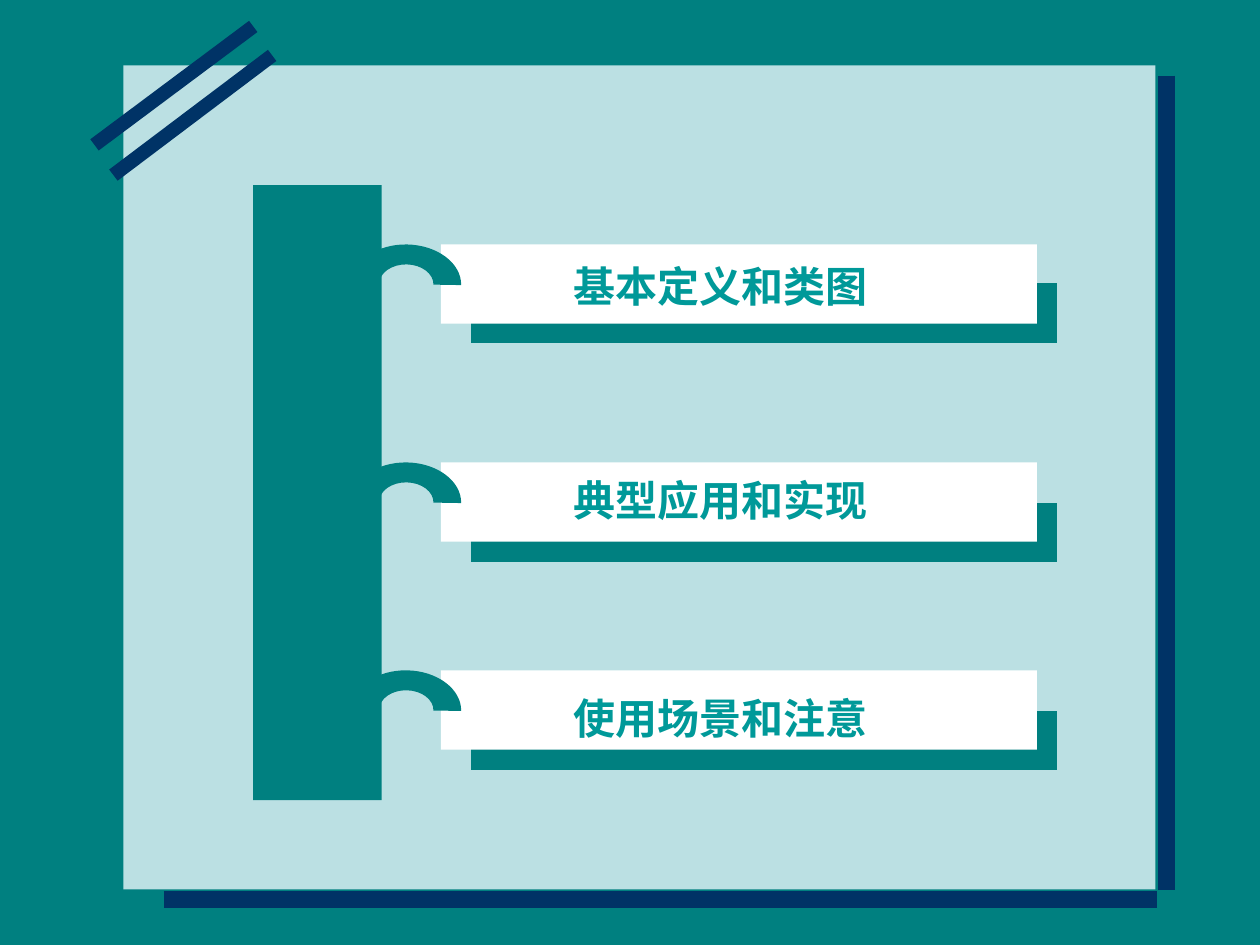
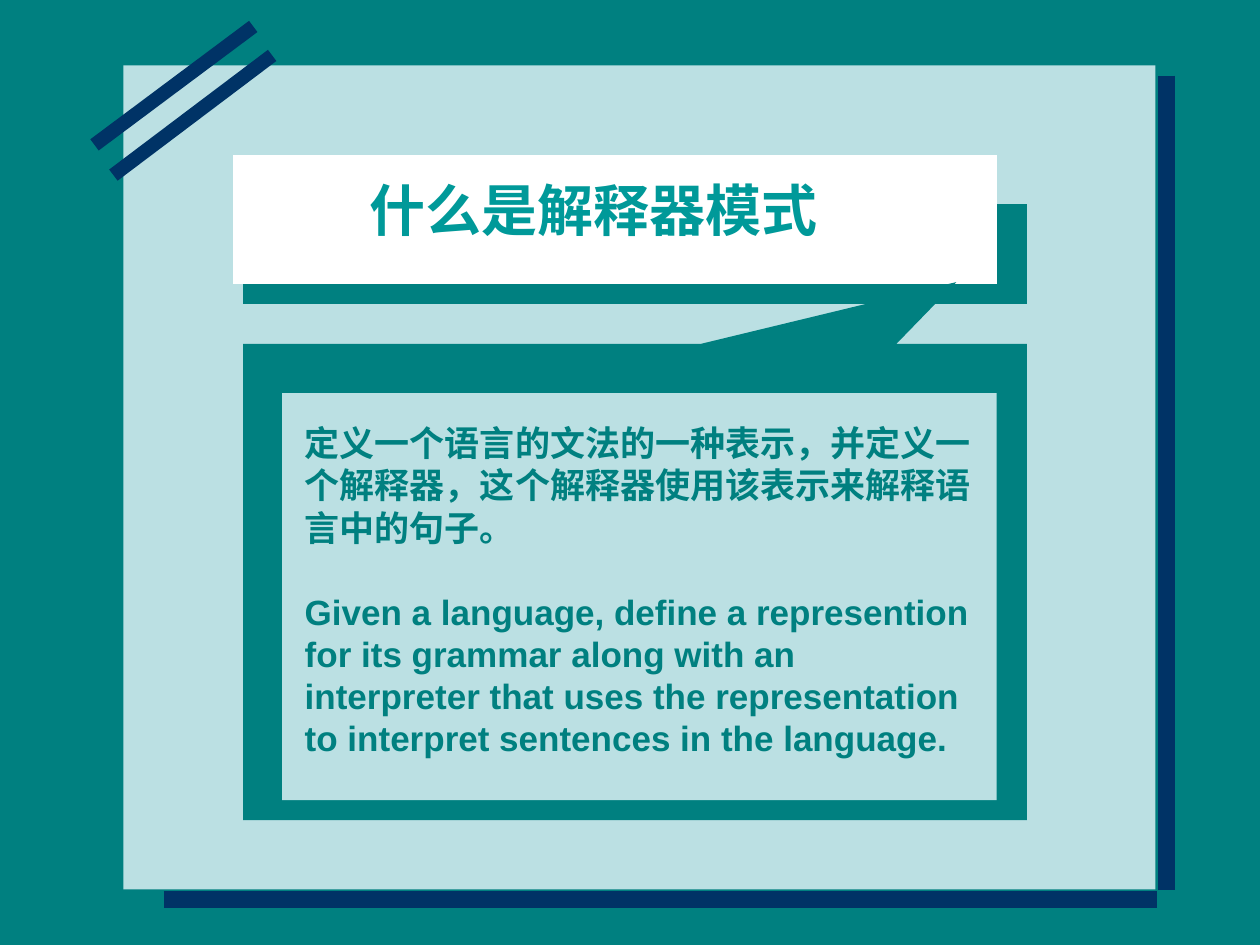
from dataclasses import dataclass

import lxml.etree
import pptx
import pptx.dml.color
import pptx.enum.lang
import pptx.enum.shapes
import pptx.enum.text
import pptx.oxml.ns
import pptx.util

Inches = pptx.util.Inches
Pt = pptx.util.Pt
qn = pptx.oxml.ns.qn
SHAPE = pptx.enum.shapes.MSO_SHAPE


@dataclass(frozen=True)
class Theme:
    teal: str = "008080"
    pale: str = "BBE0E3"
    navy: str = "003366"
    white: str = "FFFFFF"
    accent: str = "009999"
    font: str = "Arial"
    title: int = 32
    item: int = 24
    body: int = 20
    leading: float = 1.2


def rgb(value):
    return pptx.dml.color.RGBColor.from_string(value)


class Deck:
    def __init__(self, theme):
        self.theme = theme
        self.prs = pptx.Presentation()
        self.prs.slide_width = Inches(10)
        self.prs.slide_height = Inches(7.5)
        self.slide = None

    def new_slide(self, layout):
        """Start a slide with the shared background, panel and lines."""
        t = self.theme
        self.slide = self.prs.slides.add_slide(
            self.prs.slide_layouts.get_by_name(layout))
        fill = self.slide.background.fill
        fill.solid()
        fill.fore_color.rgb = rgb(t.teal)
        self.box(0.98, 0.52, 8.19, 6.54, t.pale)
        # Corner stripes
        self.line(2.16, 0.44, 0.9, 1.39, 8)
        self.line(2.01, 0.21, 0.75, 1.15, 8)
        # Panel shadow
        self.line(1.3, 7.14, 9.18, 7.14, 10)
        self.line(9.26, 0.6, 9.26, 7.06, 10)

    def paint(self, sp, color):
        sp.shadow.inherit = False
        sp.fill.solid()
        sp.fill.fore_color.rgb = rgb(color)
        sp.line.fill.background()
        return sp

    def box(self, x, y, w, h, color, kind=SHAPE.RECTANGLE):
        sp = self.slide.shapes.add_shape(
            kind, Inches(x), Inches(y), Inches(w), Inches(h))
        return self.paint(sp, color)

    def line(self, x1, y1, x2, y2, width):
        sp = self.slide.shapes.add_connector(
            pptx.enum.shapes.MSO_CONNECTOR.STRAIGHT,
            Inches(x1), Inches(y1), Inches(x2), Inches(y2))
        sp.line.width = Pt(width)
        sp.line.color.rgb = rgb(self.theme.navy)
        lxml.etree.SubElement(sp._element.spPr, qn("a:effectLst"))

    def ring(self, x, y, color):
        """Half an elliptical ring in a frame of 0.87 by 0.63 inches."""
        # The frame, in hundredths of an inch
        fb = self.slide.shapes.build_freeform(0, 0, scale=Inches(0.01))
        fb.add_line_segments([(87, 0), (87, 63), (0, 63)])
        sp = self.paint(fb.convert_to_shape(Inches(x), Inches(y)), color)
        # The curved outline, in thousandths of an inch
        outline = sp._element.find(".//" + qn("a:path"))
        outline.set("w", "870")
        outline.set("h", "630")
        for node in list(outline):
            outline.remove(node)
        for tag, points in [
                ("moveTo", [(220, 315)]),
                ("cubicBezTo", [(220, 402), (316, 472), (435, 472)]),
                ("cubicBezTo", [(554, 472), (650, 402), (650, 315)]),
                ("lnTo", [(870, 315)]),
                ("cubicBezTo", [(870, 489), (675, 630), (435, 630)]),
                ("cubicBezTo", [(195, 630), (0, 489), (0, 315)]),
                ("lnTo", [(220, 315)]),
                ("close", [])]:
            step = lxml.etree.SubElement(outline, qn("a:" + tag))
            for px, py in points:
                lxml.etree.SubElement(step, qn("a:pt"), x=str(px), y=str(py))
        sp.rotation = 181

    def fill_text(self, tf, paragraphs, size, color):
        tf.word_wrap = True
        tf.auto_size = pptx.enum.text.MSO_AUTO_SIZE.NONE
        tf.vertical_anchor = pptx.enum.text.MSO_ANCHOR.TOP
        leading = Pt(size * self.theme.leading)
        for i, text in enumerate(paragraphs):
            p = tf.add_paragraph() if i else tf.paragraphs[0]
            p.alignment = pptx.enum.text.PP_ALIGN.LEFT
            p.line_spacing = leading
            p.space_before = leading if i else Pt(0)
            r = p.add_run()
            r.text = text
            r.font.name = self.theme.font
            r.font.size = Pt(size)
            r.font.bold = True
            r.font.color.rgb = rgb(color)
            r.font.language_id = pptx.enum.lang.MSO_LANGUAGE_ID.SIMPLIFIED_CHINESE

    def text(self, x, y, w, h, paragraphs, size, color):
        sp = self.slide.shapes.add_textbox(
            Inches(x), Inches(y), Inches(w), Inches(h))
        self.fill_text(sp.text_frame, paragraphs, size, color)

    def title(self, x, y, w, h, text):
        sp = self.slide.shapes.title
        sp.left, sp.top = Inches(x), Inches(y)
        sp.width, sp.height = Inches(w), Inches(h)
        self.fill_text(sp.text_frame, [text], self.theme.title, self.theme.accent)
        # Bring the title in front of its band
        self.slide.shapes._spTree.append(sp._element)


def agenda_slide(deck):
    t = deck.theme
    deck.new_slide("Blank")
    # Label top, shadow top, text top, text width, wording
    items = [(1.94, 2.25, 2.02, 3.41, "基本定义和类图"),
             (5.32, 5.64, 5.45, 4.65, "使用场景和注意"),
             (3.67, 3.99, 3.72, 3.41, "典型应用和实现")]
    for _, shadow_top, *_ in items:
        deck.box(3.74, shadow_top, 4.65, 0.47, t.teal, SHAPE.FLOWCHART_PROCESS)
    # Binder spine
    deck.box(2.01, 1.47, 1.02, 4.88, t.teal)
    for top, *_ in items:
        deck.box(3.5, top, 4.73, 0.63, t.white)
    for top, *_ in items:
        deck.ring(2.79, top, t.teal)
    for _, _, text_top, width, label in items:
        deck.text(4.45, text_top, width, 0.5, [label], t.item, t.accent)


def definition_slide(deck):
    t = deck.theme
    deck.new_slide("Title Only")
    # Title band
    deck.box(1.93, 1.62, 6.22, 0.79, t.teal, SHAPE.FLOWCHART_PROCESS)
    deck.box(1.85, 1.23, 6.06, 1.02, t.white, SHAPE.FLOWCHART_PROCESS)
    deck.title(2.83, 1.34, 4.37, 0.64, "什么是解释器模式")
    # Callout pointing up to the title
    callout = deck.box(1.93, 2.73, 6.22, 3.78, t.teal, SHAPE.RECTANGULAR_CALLOUT)
    callout.rotation = 180
    callout.adjustments[0] = -0.41
    callout.adjustments[1] = 0.63
    # Definition
    deck.box(2.24, 3.12, 5.67, 3.23, t.pale)
    deck.text(2.32, 3.3, 5.51, 3.1, [
        "定义一个语言的文法的一种表示，并定义一个解释器，"
        "这个解释器使用该表示来解释语言中的句子。",
        "Given a language, define a represention for its grammar along with "
        "an interpreter that uses the representation to interpret sentences "
        "in the language."], t.body, t.teal)


def main():
    deck = Deck(Theme())
    agenda_slide(deck)
    definition_slide(deck)
    deck.prs.save("out.pptx")


if __name__ == "__main__":
    main()
